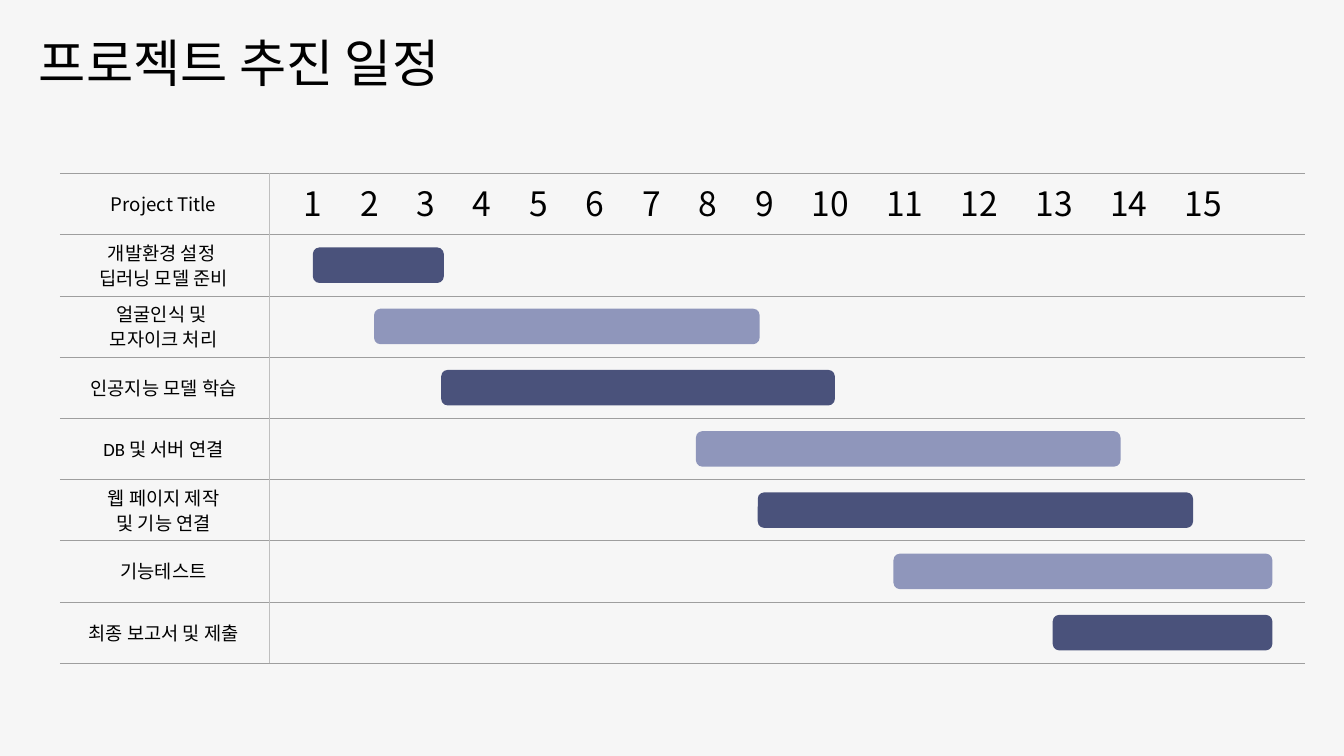
from lxml import etree
from pptx import Presentation
from pptx.dml.color import RGBColor
from pptx.enum import shapes, text
from pptx.oxml import ns
from pptx.util import Inches, Pt

FONT = "Noto Sans CJK KR"
BACKGROUND, BLACK, GRID, DIVIDER = "F6F6F6", "000000", "9E9E9E", "BFBFBF"
BAR_COLORS = ["4A527B", "8F96BB"]

TITLE = "프로젝트 추진 일정"
HEADER = "Project Title"
# label, latin font, bar left, bar width
TASKS = [
    ("개발환경 설정 \v딥러닝 모델 준비", "Calibri", 4.67, 1.92),
    ("얼굴인식 및 \n모자이크 처리", "Calibri", 5.58, 5.71),
    ("인공지능 모델 학습", "Calibri", 6.58, 5.83),
    ("DB 및 서버 연결", "Calibri", 10.37, 6.29),
    ("웹 페이지 제작\n및 기능 연결", "Calibri", 11.29, 6.45),
    ("기능테스트", "Calibri", 13.31, 5.61),
    ("최종 보고서 및 제출", FONT, 15.68, 3.24),
]
WEEKS = range(1, 16)

TABLE_LEFT, TABLE_TOP, TABLE_HEIGHT = 0.89, 2.58, 7.29
COLUMN_WIDTHS = [3.09, 3.03, 3.14, 3.09, 3.09, 3.09]
ROW_COUNT = len(TASKS) + 1
ROW_HEIGHT = TABLE_HEIGHT / ROW_COUNT
BAR_HEIGHT = 0.5
DIVIDER_X = 4
ONE_DIGIT_STEP, TWO_DIGIT_STEP = 0.84, 1.11


def color(value):
    return RGBColor.from_string(value)


def add_element(parent, tag, **attributes):
    return etree.SubElement(parent, ns.qn(tag), attributes)


def write(frame, content, size, font=FONT, align=text.PP_ALIGN.LEFT, spacing=None, tabs=()):
    for index, line in enumerate(content.split("\n")):
        paragraph = frame.paragraphs[0] if index == 0 else frame.add_paragraph()
        paragraph.text = line
        paragraph.alignment = align
        paragraph.line_spacing = spacing
        if tabs:
            tab_list = add_element(paragraph._p.get_or_add_pPr(), "a:tabLst")
            for position in tabs:
                add_element(tab_list, "a:tab", pos=str(Inches(position)), algn="l")
        for run in paragraph.runs:
            run.font.size = Pt(size)
            run.font.name = font
            run.font.color.rgb = color(BLACK)
            add_element(run.font._element, "a:ea", typeface=FONT)


def set_margins(target, margin):
    target.margin_left = target.margin_right = Inches(margin)
    target.margin_top = target.margin_bottom = Inches(margin)


def style_cell(cell):
    """Clear the fill and leave only horizontal rules."""
    cell.fill.background()
    properties = cell._tc.get_or_add_tcPr()
    for index, side in enumerate(["a:lnL", "a:lnR", "a:lnT", "a:lnB"]):
        if side in ("a:lnT", "a:lnB"):
            line = add_element(properties, side, w=str(Pt(0.5)))
            add_element(add_element(line, "a:solidFill"), "a:srgbClr", val=GRID)
        else:
            line = add_element(properties, side, w="0")
            add_element(line, "a:noFill")
        properties.insert(index, line)


def add_schedule_table(slide):
    table = slide.shapes.add_table(
        ROW_COUNT, len(COLUMN_WIDTHS), Inches(TABLE_LEFT), Inches(TABLE_TOP),
        Inches(sum(COLUMN_WIDTHS)), Inches(TABLE_HEIGHT)).table
    table.first_row = table.horz_banding = False
    for column, width in zip(table.columns, COLUMN_WIDTHS):
        column.width = Inches(width)
    for cell in table.iter_cells():
        style_cell(cell)
    labels = [(HEADER, FONT)] + [task[:2] for task in TASKS]
    for row, (label, font) in enumerate(labels):
        cell = table.cell(row, 0)
        cell.vertical_anchor = text.MSO_ANCHOR.MIDDLE
        set_margins(cell, 0.02)
        write(cell.text_frame, label, 20, font=font, align=text.PP_ALIGN.CENTER, spacing=0.92)


def add_weeks(slide):
    box = slide.shapes.add_textbox(Inches(4.42), Inches(2.67), Inches(14.75), Inches(0.71))
    box.text_frame.word_wrap = True
    tabs = [ONE_DIGIT_STEP * min(week, 9) + TWO_DIGIT_STEP * max(week - 9, 0)
            for week in WEEKS[:-1]]
    write(box.text_frame, "\t".join(map(str, WEEKS)), 36, tabs=tabs)


def add_bars(slide):
    for index, (_, _, left, width) in enumerate(TASKS):
        top = TABLE_TOP + ROW_HEIGHT * (index + 1) + (ROW_HEIGHT - BAR_HEIGHT) / 2
        bar = slide.shapes.add_shape(
            shapes.MSO_SHAPE.FLOWCHART_ALTERNATE_PROCESS,
            Inches(left), Inches(top), Inches(width), Inches(BAR_HEIGHT))
        bar.shadow.inherit = False
        bar_color = color(BAR_COLORS[index % 2])
        bar.fill.solid()
        bar.fill.fore_color.rgb = bar_color
        bar.line.color.rgb = bar_color
        bar.line.width = Pt(2)


def add_divider(slide):
    divider = slide.shapes.add_connector(
        shapes.MSO_CONNECTOR.STRAIGHT, Inches(DIVIDER_X), Inches(TABLE_TOP),
        Inches(DIVIDER_X), Inches(TABLE_TOP + TABLE_HEIGHT))
    divider.line.color.rgb = color(DIVIDER)
    divider.line.width = Pt(0.25)
    add_element(divider._element.spPr, "a:effectLst")


def add_title(slide):
    title = slide.shapes.title
    title.left, title.top = Inches(0.58), Inches(0.47)
    title.width, title.height = Inches(10.41), Inches(1.07)
    frame = title.text_frame
    frame.auto_size = text.MSO_AUTO_SIZE.NONE
    frame.vertical_anchor = text.MSO_ANCHOR.TOP
    set_margins(frame, 0)
    write(frame, TITLE, 55, spacing=1.0)


def main():
    presentation = Presentation()
    presentation.slide_width, presentation.slide_height = Inches(20), Inches(11.25)
    slide = presentation.slides.add_slide(presentation.slide_layouts[5])
    slide.background.fill.solid()
    slide.background.fill.fore_color.rgb = color(BACKGROUND)
    add_title(slide)
    add_schedule_table(slide)
    add_weeks(slide)
    add_bars(slide)
    add_divider(slide)
    presentation.save("out.pptx")


if __name__ == "__main__":
    main()
